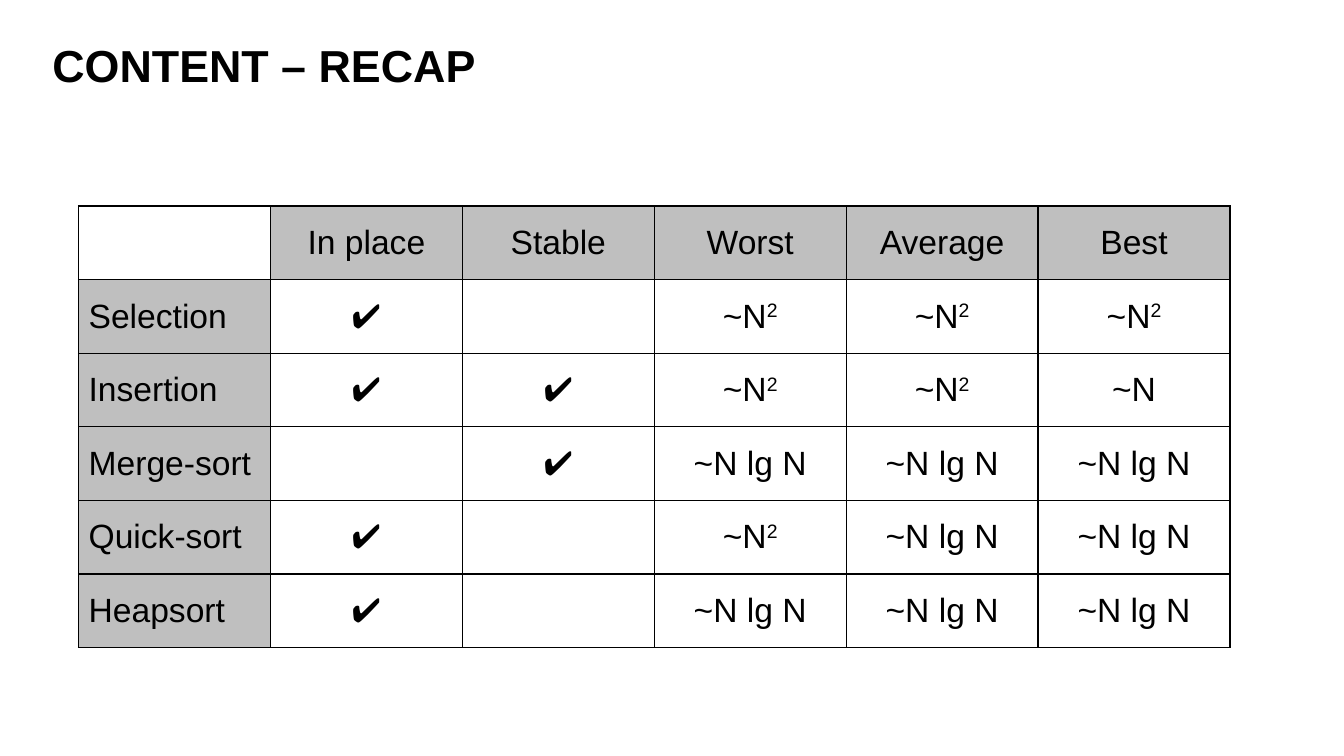
from lxml import etree
from pptx import Presentation
from pptx import util as u
from pptx.dml.color import RGBColor
from pptx.enum import text
from pptx.oxml import ns

BLACK = RGBColor(0x00, 0x00, 0x00)
GRAY = RGBColor(0x80, 0x80, 0x80)
FONT = "Arial"
CHECK, SQUARE, LINEAR, LOG = "✔️", "~N^2", "~N", "~N lg N"
ROWS = [
    ["", "In place", "Stable", "Worst", "Average", "Best"],
    ["Selection", CHECK, "", SQUARE, SQUARE, SQUARE],
    ["Insertion", CHECK, CHECK, SQUARE, SQUARE, LINEAR],
    ["Merge-sort", "", CHECK, LOG, LOG, LOG],
    ["Quick-sort", CHECK, "", SQUARE, LOG, LOG],
    ["Heapsort", CHECK, "", LOG, LOG, LOG],
]


def set_font(para, size, bold=False):
    """Give a paragraph the slide's font in black."""
    para.font.name = FONT
    para.font.size = u.Pt(size)
    para.font.bold = bold
    para.font.color.rgb = BLACK


def add_title(page, left, top, width, height):
    """Write the slide title, centred vertically in its box."""
    box = page.shapes.add_textbox(left, top, width, height)
    frame = box.text_frame
    frame.word_wrap = True
    frame.vertical_anchor = text.MSO_ANCHOR.MIDDLE
    para = frame.paragraphs[0]
    para.text = "CONTENT – RECAP"
    para.line_spacing = 0.9
    set_font(para, 32, bold=True)


def add_borders(cell):
    """Draw a thin black line on all four sides of a cell."""
    properties = cell._tc.get_or_add_tcPr()
    for index, side in enumerate(("lnL", "lnR", "lnT", "lnB")):
        line = etree.Element(ns.qn(f"a:{side}"), w=str(u.Pt(1)))
        fill = etree.SubElement(line, ns.qn("a:solidFill"))
        etree.SubElement(fill, ns.qn("a:srgbClr"), val=str(BLACK))
        properties.insert(index, line)


def fill_cell(cell, shaded):
    """Fill a heading cell with half-transparent gray, leave others clear."""
    if not shaded:
        cell.fill.background()
        return
    cell.fill.solid()
    cell.fill.fore_color.rgb = GRAY
    color = cell._tc.tcPr.find(".//" + ns.qn("a:srgbClr"))
    etree.SubElement(color, ns.qn("a:alpha"), val="50000")


def write_cell(cell, content, align):
    """Write a cell, raising whatever follows a caret."""
    cell.vertical_anchor = text.MSO_ANCHOR.MIDDLE
    para = cell.text_frame.paragraphs[0]
    para.alignment = align
    set_font(para, 24)
    base, _, power = content.partition("^")
    if base:
        para.add_run().text = base
    if power:
        span = para.add_run()
        span.text = power
        span.font._element.set("baseline", "30000")


def add_comparison(page, left, top, width, height):
    """Build the table that compares the sorting algorithms."""
    table = page.shapes.add_table(
        len(ROWS), len(ROWS[0]), left, top, width, height).table
    table.first_row = False
    table.horz_banding = False
    for row, contents in enumerate(ROWS):
        for column, content in enumerate(contents):
            cell = table.cell(row, column)
            is_label = column == 0
            align = text.PP_ALIGN.LEFT if is_label else text.PP_ALIGN.CENTER
            write_cell(cell, content, align)
            fill_cell(cell, (row == 0) != is_label)
            add_borders(cell)


def main():
    """Build the recap slide and save the deck."""
    deck = Presentation()
    deck.slide_width, deck.slide_height = u.Cm(33.87), u.Cm(19.05)
    page = deck.slides.add_slide(deck.slide_layouts[6])
    add_title(page, u.Cm(1.07), u.Cm(0.71), u.Cm(28.14), u.Cm(2.01))
    add_comparison(page, u.Cm(1.98), u.Cm(5.19), u.Cm(29.02), u.Cm(11.13))
    deck.save("out.pptx")


if __name__ == "__main__":
    main()
